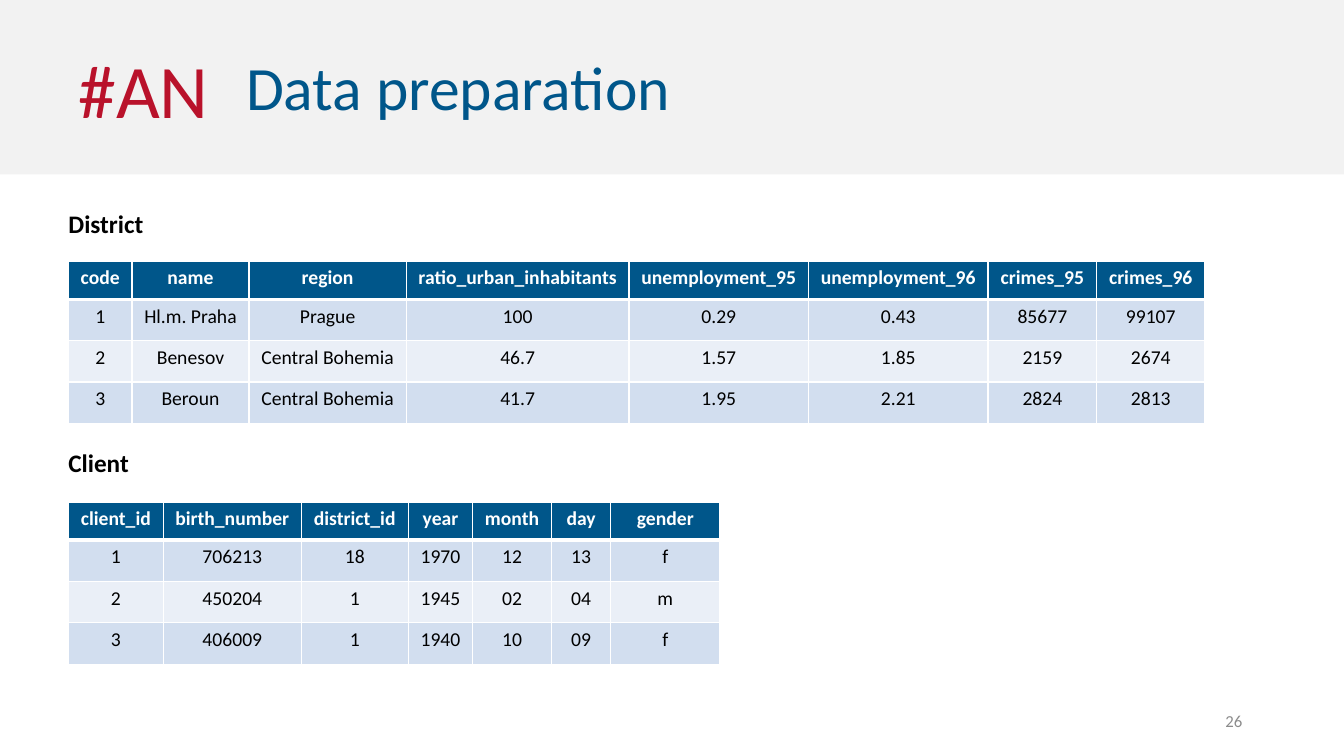
from lxml.etree import SubElement
from pptx import Presentation
from pptx.dml.color import RGBColor
from pptx.enum.shapes import MSO_SHAPE
from pptx.enum.text import MSO_ANCHOR, MSO_AUTO_SIZE, PP_ALIGN
from pptx.oxml.ns import qn
from pptx.util import Inches, Pt

FONT = "Calibri"
COLORS = {
    "band": "F2F2F2", "tag": "B9122B", "accent": "00568A", "number": "8C8C8C",
    "text": "000000", "white": "FFFFFF", "odd": "D2DEEF", "even": "EAEFF7",
}
WIDTH, HEIGHT = 13.33, 7.5
ROW_HEIGHTS = [0.38, 0.41, 0.41, 0.41]

DISTRICT = {
    "columns": [0.63, 1.16, 1.56, 2.21, 1.78, 1.78, 1.08, 1.07],
    "rows": [
        ["code", "name", "region", "ratio_urban_inhabitants", "unemployment_95",
         "unemployment_96", "crimes_95", "crimes_96"],
        ["1", "Hl.m. Praha", "Prague", "100", "0.29", "0.43", "85677", "99107"],
        ["2", "Benesov", "Central Bohemia", "46.7", "1.57", "1.85", "2159", "2674"],
        ["3", "Beroun", "Central Bohemia", "41.7", "1.95", "2.21", "2824", "2813"],
    ],
}
CLIENT = {
    "columns": [0.94, 1.37, 1.06, 0.64, 0.78, 0.59, 1.08],
    "rows": [
        ["client_id", "birth_number", "district_id", "year", "month", "day", "gender"],
        ["1", "706213", "18", "1970", "12", "13", "f"],
        ["2", "450204", "1", "1945", "02", "04", "m"],
        ["3", "406009", "1", "1940", "10", "09", "f"],
    ],
}


def color(name):
    return RGBColor.from_string(COLORS[name])


def write(frame, text, size, color_name, bold=False, align=PP_ALIGN.LEFT):
    frame.text = text
    para = frame.paragraphs[0]
    para.alignment = align
    font = para.runs[0].font
    font.name, font.size, font.bold = FONT, Pt(size), bold
    font.color.rgb = color(color_name)


def place(shape, box):
    shape.left, shape.top, shape.width, shape.height = map(Inches, box)


def add_text(page, box, text, size, color_name, **style):
    shape = page.shapes.add_textbox(*map(Inches, box))
    shape.text_frame.word_wrap = True
    write(shape.text_frame, text, size, color_name, **style)
    return shape


def add_header(page, box, tag, heading):
    left, top, width, height = box
    band = page.shapes.add_shape(MSO_SHAPE.RECTANGLE, *map(Inches, box))
    band.shadow.inherit = False
    band.fill.solid()
    band.fill.fore_color.rgb = color("band")
    band.line.fill.background()
    title = page.shapes.title
    title.element.addprevious(band.element)  # the band lies behind the title
    place(title, (left + 2.34, top + 0.44, 4.46, 0.84))
    frame = title.text_frame
    write(frame, heading, 44, "accent")
    frame.word_wrap = False
    frame.auto_size = MSO_AUTO_SIZE.NONE
    frame.vertical_anchor = MSO_ANCHOR.TOP
    add_text(page, (left + 0.68, top + 0.38, 1.83, 1.01), tag, 54, "tag")


def set_borders(cell, widths):
    properties = cell._tc.get_or_add_tcPr()
    for side, width in widths.items():
        line = SubElement(properties, qn(f"a:ln{side}"), w=str(Pt(width)))
        fill = SubElement(line, qn("a:solidFill"))
        SubElement(fill, qn("a:srgbClr"), val=COLORS["white"])


def add_data_table(page, left, top, data):
    rows, columns = data["rows"], data["columns"]
    box = (left, top, sum(columns), sum(ROW_HEIGHTS))
    table = page.shapes.add_table(len(rows), len(columns), *map(Inches, box)).table
    for column, width in zip(table.columns, columns):
        column.width = Inches(width)
    for r, values in enumerate(rows):
        table.rows[r].height = Inches(ROW_HEIGHTS[r])
        header = r == 0
        fill_name = "accent" if header else "odd" if r % 2 else "even"
        for c, value in enumerate(values):
            cell = table.cell(r, c)
            write(cell.text_frame, value, 14, "white" if header else "text",
                  bold=header, align=PP_ALIGN.CENTER)
            set_borders(cell, {"L": 1, "R": 1, "T": 3 if r == 1 else 1,
                               "B": 3 if header else 1})
            cell.fill.solid()
            cell.fill.fore_color.rgb = color(fill_name)


def add_section(page, left, heading_top, table_top, heading, data):
    add_text(page, (left, heading_top, 2.28, 0.4), heading, 18, "text", bold=True)
    add_data_table(page, left + 0.1, table_top, data)


def add_page_number(page, box, number):
    shape = add_text(page, box, number, 12, "number", align=PP_ALIGN.RIGHT)
    shape.text_frame.vertical_anchor = MSO_ANCHOR.MIDDLE


def main():
    deck = Presentation()
    deck.slide_width, deck.slide_height = Inches(WIDTH), Inches(HEIGHT)
    page = deck.slides.add_slide(deck.slide_layouts.get_by_name("Title Only"))
    add_header(page, (0, 0, WIDTH, 1.73), "#AN", "Data preparation")
    add_section(page, 0.58, 2.02, 2.59, "District", DISTRICT)
    add_section(page, 0.58, 4.39, 4.98, "Client", CLIENT)
    add_page_number(page, (9.42, 6.95, 3, 0.4), "26")
    deck.save("out.pptx")


if __name__ == "__main__":
    main()
